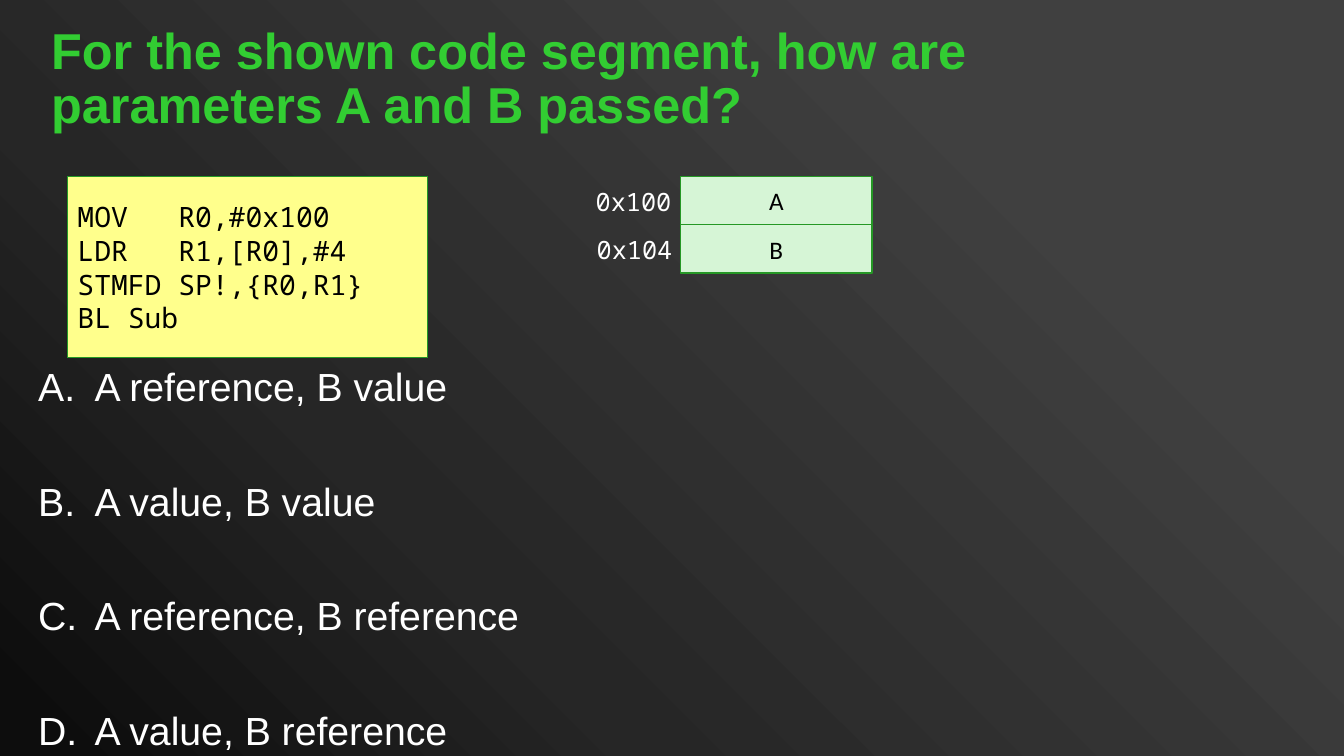
from dataclasses import dataclass

from pptx import Presentation
from pptx.dml.color import RGBColor
from pptx.enum.shapes import MSO_SHAPE
from pptx.enum.text import MSO_ANCHOR as ANCHOR, PP_ALIGN as ALIGN
from pptx.oxml import parse_xml
from pptx.oxml.ns import nsdecls, qn
from pptx.oxml.xmlchemy import OxmlElement
from pptx.util import Inches, Pt


@dataclass(frozen=True)
class Style:
    font: str
    size: float
    color: str
    bold: bool = False


@dataclass(frozen=True)
class Theme:
    title: Style = Style("Arial", 36, "32CD32", True)
    option: Style = Style("Arial", 28, "FFFFFF")
    code: Style = Style("Noto Sans Mono", 20, "000000")
    cell: Style = Style("Calibri", 18, "000000")
    address: Style = Style("Noto Sans Mono", 18, "FFFFFF")
    code_fill: str = "FFFF8C"
    cell_fill: str = "D6F5D6"
    border: str = "259825"
    backdrop: tuple = ((0, "404040"), (23, "404040"), (69, "262626"), (97, "0D0D0D"))


@dataclass(frozen=True)
class Box:
    left: float
    top: float
    width: float
    height: float

    def lengths(self) -> list:
        return [Inches(v) for v in (self.left, self.top, self.width, self.height)]


@dataclass(frozen=True)
class MemoryWord:
    address: str
    label: str
    address_left: float


THEME = Theme()
TITLE = "For the shown code segment, how are parameters A and B passed?"
CODE = ["MOV\tR0,#0x100", "LDR\tR1,[R0],#4", "STMFD\tSP!,{R0,R1}", "BL\tSub"]
OPTIONS = ["A reference, B value", "A value, B value",
           "A reference, B reference", "A value, B reference"]
MEMORY = [MemoryWord("0x100", "A", 5.81), MemoryWord("0x104", "B", 5.82)]
MEMORY_TOP, WORD_HEIGHT = 1.75, 0.48


def write(sp, lines: list, style: Style, anchor=ANCHOR.TOP, align=ALIGN.LEFT,
          wrap: bool = True) -> list:
    """Fill a shape with one paragraph per line and return the paragraphs."""
    tf = sp.text_frame
    tf.text = "\n".join(lines)
    tf.word_wrap, tf.vertical_anchor = wrap, anchor
    for p in tf.paragraphs:
        p.alignment = align
        for r in p.runs:
            r.font.name, r.font.size, r.font.bold = style.font, Pt(style.size), style.bold
            r.font.color.rgb = RGBColor.from_string(style.color)
    return list(tf.paragraphs)


def add_panel(s, box: Box, fill: str):
    sp = s.shapes.add_shape(MSO_SHAPE.RECTANGLE, *box.lengths())
    sp.shadow.inherit = False
    sp.fill.solid()
    sp.fill.fore_color.rgb = RGBColor.from_string(fill)
    sp.line.color.rgb = RGBColor.from_string(THEME.border)
    sp.line.width = Pt(1)
    return sp


def add_text(s, box: Box):
    return s.shapes.add_textbox(*box.lengths())


def set_backdrop(s) -> None:
    stops = "".join(f'<a:gs pos="{pos * 1000}"><a:srgbClr val="{color}"/></a:gs>'
                    for pos, color in THEME.backdrop)
    bg = parse_xml(
        f'<p:bg {nsdecls("p", "a")}><p:bgPr><a:gradFill rotWithShape="1">'
        f'<a:gsLst>{stops}</a:gsLst><a:lin ang="{135 * 60000}" scaled="0"/>'
        "</a:gradFill><a:effectLst/></p:bgPr></p:bg>")
    s.element.find(qn("p:cSld")).insert(0, bg)


def letter_options(paragraphs: list, indent: float, gap: float) -> None:
    for i, p in enumerate(paragraphs):
        pPr = p._p.get_or_add_pPr()
        pPr.set("marL", str(Inches(indent)))
        pPr.set("indent", str(-Inches(indent)))
        bullet = OxmlElement("a:buAutoNum")
        bullet.set("type", "alphaUcPeriod")
        pPr.append(bullet)
        p.line_spacing = 0.9
        p.space_before = Pt(gap if i else 0)


def main() -> None:
    prs = Presentation()
    prs.slide_width, prs.slide_height = Inches(13.33), Inches(7.5)
    s = prs.slides.add_slide(prs.slide_layouts[6])
    set_backdrop(s)

    # Question
    title = add_text(s, Box(0.41, 0.07, 11.5, 1.45))
    write(title, [TITLE], THEME.title, ANCHOR.MIDDLE)[0].line_spacing = 0.9

    # Answers
    answers = add_text(s, Box(0.28, 3.6, 6.02, 4.95))
    letter_options(write(answers, OPTIONS, THEME.option), indent=0.56, gap=51.5)

    # Code segment
    code = add_panel(s, Box(0.67, 1.75, 3.57, 1.8), THEME.code_fill)
    write(code, CODE, THEME.code, ANCHOR.MIDDLE)

    # Memory words with their addresses
    for i, word in enumerate(MEMORY):
        top = MEMORY_TOP + i * WORD_HEIGHT
        cell = add_panel(s, Box(6.75, top, 1.9, WORD_HEIGHT), THEME.cell_fill)
        write(cell, [word.label], THEME.cell, ANCHOR.MIDDLE, ALIGN.CENTER)
        address = add_text(s, Box(word.address_left, top + 0.05, 0.96, 0.4))
        write(address, [word.address], THEME.address, wrap=False)

    prs.save("out.pptx")


if __name__ == "__main__":
    main()
